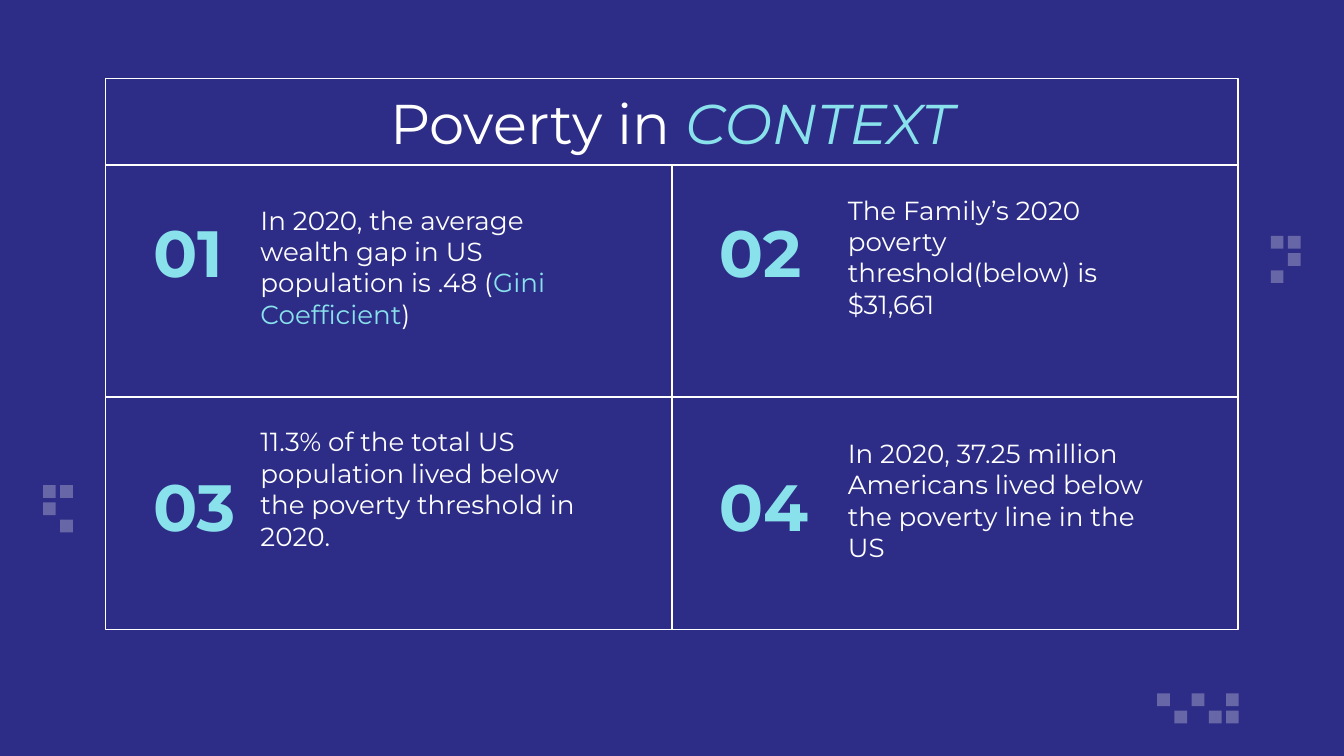
import pptx
import pptx.util
import pptx.dml.color
import pptx.enum.shapes
import pptx.enum.text
import pptx.oxml.ns
import lxml.etree

NAVY = pptx.dml.color.RGBColor(0x2D, 0x2D, 0x87)
AQUA = pptx.dml.color.RGBColor(0x89, 0xE1, 0xEC)
WHITE = pptx.dml.color.RGBColor(0xFF, 0xFF, 0xFF)
FONT = "Montserrat"
COLS, ROWS = 100, 56.25  # grid cells of a tenth of an inch


def cell(count):
    return pptx.util.Inches(count / 10)


class Deck:
    def __init__(self):
        self.file = pptx.Presentation()
        self.file.slide_width = cell(COLS)
        self.file.slide_height = cell(ROWS)
        self.slide = self.file.slides.add_slide(self.file.slide_layouts[6])
        back = self.slide.background.fill
        back.solid()
        back.fore_color.rgb = NAVY

    def rect(self, left, top, width, height, fill=None, line=None):
        kind = pptx.enum.shapes.MSO_SHAPE.RECTANGLE
        shape = self.slide.shapes.add_shape(
            kind, cell(left), cell(top), cell(width), cell(height))
        shape.shadow.inherit = False
        if fill is None:
            shape.fill.background()
        else:
            shape.fill.solid()
            shape.fill.fore_color.rgb = fill
        if line is None:
            shape.line.fill.background()
        else:
            shape.line.color.rgb = line
            shape.line.width = pptx.util.Pt(0.75)
        return shape

    def dots(self, left, top, rows):
        """Draw a see-through square for each # in the rows."""
        for down, row in enumerate(rows):
            for along, mark in enumerate(row):
                if mark == "#":
                    dot = self.rect(left + 1.28 * along, top + 1.28 * down,
                                    0.95, 0.95, WHITE)
                    tint = dot.fill._xPr.find(".//" + pptx.oxml.ns.qn("a:srgbClr"))
                    lxml.etree.SubElement(
                        tint, pptx.oxml.ns.qn("a:alpha"), val="28000")

    def text(self, box, runs, size, bold=False, line=None, align="LEFT"):
        """Write runs of (words, colour, italic) in a filled box."""
        frame = self.rect(*box, NAVY, line).text_frame
        frame.word_wrap = True
        frame.vertical_anchor = pptx.enum.text.MSO_ANCHOR.MIDDLE
        frame.margin_left = frame.margin_right = cell(1)
        frame.margin_top = frame.margin_bottom = cell(1)
        para = frame.paragraphs[0]
        para.alignment = pptx.enum.text.PP_ALIGN[align]
        para.font.name = FONT
        para.font.size = pptx.util.Pt(size)
        para.font.bold = bold
        for words, tone, slant in runs:
            run = para.add_run()
            run.text = words
            run.font.color.rgb = tone
            if slant:
                run.font.italic = True

    def rule(self, left, top, right, low):
        line = self.slide.shapes.add_connector(
            pptx.enum.shapes.MSO_CONNECTOR.STRAIGHT,
            cell(left), cell(top), cell(right), cell(low))
        line.line.color.rgb = WHITE
        line.line.width = pptx.util.Pt(0.75)
        lxml.etree.SubElement(
            line._element.spPr, pptx.oxml.ns.qn("a:effectLst"))


def main():
    deck = Deck()

    # Square clusters at the edges
    deck.dots(94.55, 17.55, ["##", ".#", "#."])
    deck.dots(86.1, 51.6, ["#.#.#", ".#.##"])
    deck.dots(3.2, 36.1, ["##", "#.", ".#"])

    # Frame of the four facts
    left, top, width, high = 7.87, 12.27, 84.26, 34.56
    deck.rect(left, top, width, high, line=WHITE)

    # Numbers and facts: number box, fact box, runs
    facts = [
        ((10.4, 15.5, 15.8, 6.4), (18.4, 14.6, 26.6, 10.5),
         [("In 2020, the average wealth gap in US population is .48 (",
           WHITE, False),
          ("Gini Coefficient", AQUA, False), (")", WHITE, False)]),
        ((52.5, 15.5, 16.4, 6.4), (62.1, 13.1, 25.4, 12),
         [("The Family’s 2020 poverty threshold(below) is $31,661",
           WHITE, False)]),
        ((10.4, 34.4, 15.8, 6.4), (18.4, 31.1, 26.6, 10.5),
         [("11.3% of the total US population lived below the poverty "
           "threshold in 2020.", WHITE, False)]),
        ((52.5, 34.4, 16.4, 6.4), (62.1, 31.2, 25.4, 12),
         [("In 2020, 37.25 million Americans lived below the poverty "
           "line in the US", WHITE, False)]),
    ]
    for count, (mark, body, runs) in enumerate(facts, 1):
        deck.text(mark, [(f"{count:02}", AQUA, False)], 35, bold=True)
        deck.text(body, runs, 14)

    # Title bar
    deck.text((left, 5.85, width, top - 5.85),
              [("Poverty in ", WHITE, False), ("CONTEXT", AQUA, True)],
              30, line=WHITE, align="CENTER")

    # Dividers
    deck.rule(COLS / 2, top, COLS / 2, top + high)
    deck.rule(left, top + high / 2, left + width, top + high / 2)

    deck.file.save("out.pptx")


if __name__ == "__main__":
    main()
